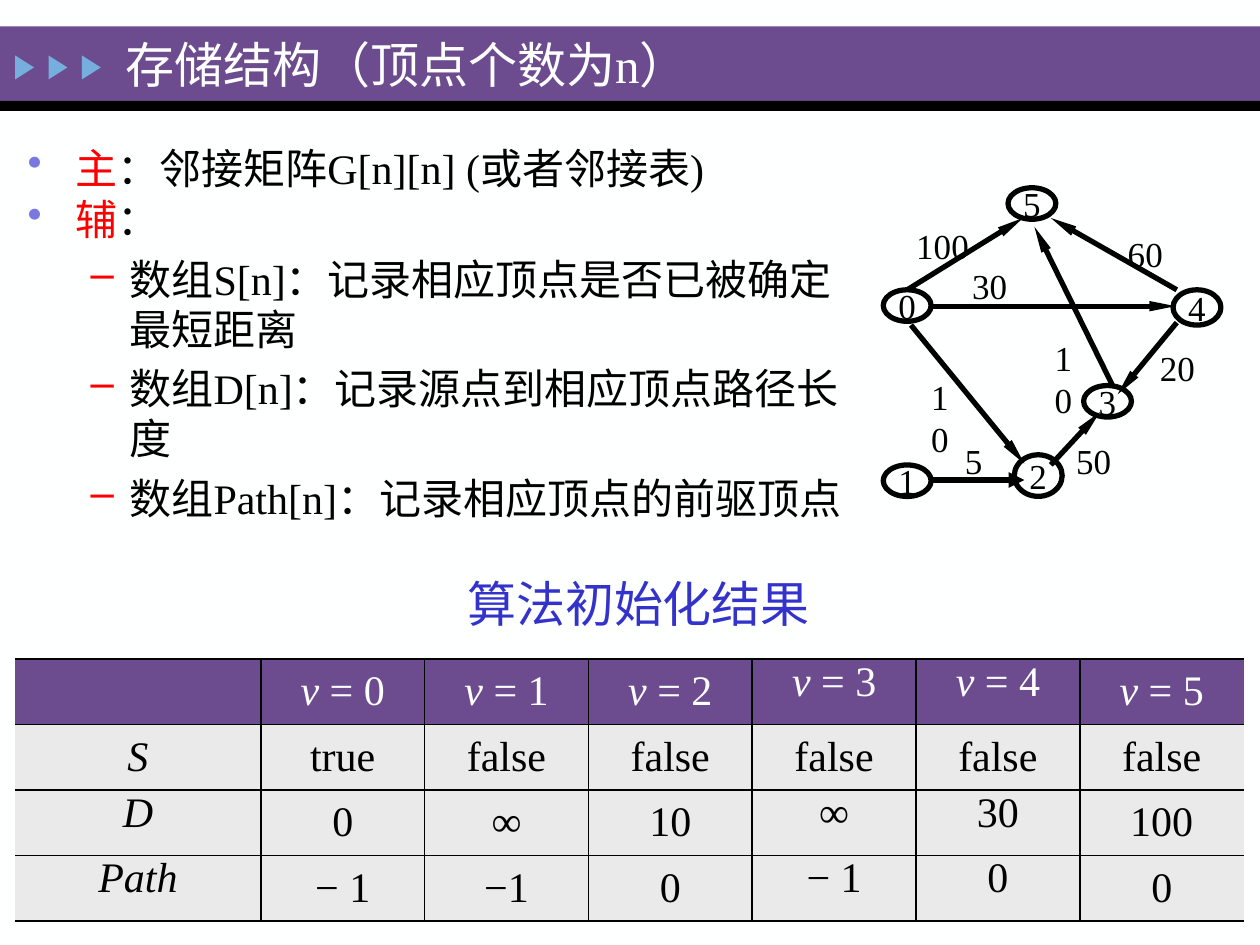
from lxml.etree import SubElement
from pptx import Presentation
from pptx.dml.color import RGBColor
from pptx.enum.shapes import MSO_CONNECTOR, MSO_SHAPE
from pptx.enum.text import MSO_ANCHOR, PP_ALIGN
from pptx.oxml.ns import qn
from pptx.util import Inches, Pt

PURPLE, BLACK, WHITE = "6C4C8F", "000000", "FEFFFF"
RED, BLUE, SKY, GRAY = "FF0000", "3333CC", "76AEDD", "EAEAEA"


def color(code):
    return RGBColor.from_string(code)


def node(parent, tag, **attrs):
    return SubElement(parent, qn(tag), attrs)


class Deck:
    face = "Times New Roman"

    def __init__(self, wide, high):
        self.file = Presentation()
        self.file.slide_width = Inches(wide)
        self.file.slide_height = Inches(high)
        self.page = self.file.slides.add_slide(self.file.slide_layouts[6])
        back = self.page.background.fill
        back.solid()
        back.fore_color.rgb = color(WHITE)

    def style(self, run, size, ink, slant=False):
        font = run.font
        font.name, font.size, font.italic = self.face, Pt(size), slant
        font.color.rgb = color(ink)

    def shape(self, kind, box, fill=None, line=None):
        item = self.page.shapes.add_shape(kind, *map(Inches, box))
        item.shadow.inherit = False
        if fill:
            item.fill.solid()
            item.fill.fore_color.rgb = color(fill)
        else:
            item.fill.background()
        if line:
            item.line.color.rgb = color(line)
            item.line.width = Pt(3)
        else:
            item.line.fill.background()
        return item

    def text(self, box, words, size, ink, align=PP_ALIGN.LEFT, anchor=MSO_ANCHOR.TOP):
        frame = self.page.shapes.add_textbox(*map(Inches, box)).text_frame
        frame.word_wrap = True
        frame.vertical_anchor = anchor
        frame.text = words
        para = frame.paragraphs[0]
        para.alignment = align
        self.style(para.runs[0], size, ink)
        return frame

    def bullets(self, box, items):
        frame = self.page.shapes.add_textbox(*map(Inches, box)).text_frame
        frame.word_wrap = True
        for i, (level, parts) in enumerate(items):
            para = frame.paragraphs[0] if i == 0 else frame.add_paragraph()
            para.level = level
            left, hang, mark, ink = [(0.38, 0.38, "•", "7878DE"), (0.81, 0.31, "–", RED)][level]
            props = para._p.get_or_add_pPr()
            props.set("marL", str(Inches(left)))
            props.set("indent", str(-Inches(hang)))
            node(node(props, "a:buClr"), "a:srgbClr", val=ink)
            node(props, "a:buChar", char=mark)
            para.line_spacing = 1.0 if level else 0.85
            if i:
                para.space_before = Pt(5)
            for words, tint in parts:
                run = para.add_run()
                run.text = words
                self.style(run, 24, tint)

    def vertex(self, name, box):
        oval = self.shape(MSO_SHAPE.OVAL, box, line=BLACK)
        frame = oval.text_frame
        frame.word_wrap = False
        frame.vertical_anchor = MSO_ANCHOR.MIDDLE
        frame.text = name
        para = frame.paragraphs[0]
        para.alignment = PP_ALIGN.CENTER
        self.style(para.runs[0], 20, BLACK)

    def arrow(self, ends, wide="sm", long="lg"):
        line = self.page.shapes.add_connector(MSO_CONNECTOR.STRAIGHT, *map(Inches, ends))
        line.line.color.rgb = color(BLACK)
        line.line.width = Pt(3)
        node(line.line._get_or_add_ln(), "a:tailEnd", type="triangle", w=wide, len=long)
        node(line._element.spPr, "a:effectLst")

    def cell(self, cell, parts, fill, ink, anchor, sides):
        cell.margin_left = cell.margin_right = Inches(0.07)
        cell.margin_top = cell.margin_bottom = 0
        cell.vertical_anchor = anchor
        props = cell._tc.get_or_add_tcPr()
        for side in ("L", "R", "T", "B"):
            edge = node(props, f"a:ln{side}", w=str(Pt(1)))
            if side in sides:
                node(node(edge, "a:solidFill"), "a:srgbClr", val=BLACK)
            else:
                node(edge, "a:noFill")
        cell.fill.solid()
        cell.fill.fore_color.rgb = color(fill)
        para = cell.text_frame.paragraphs[0]
        para.alignment = PP_ALIGN.CENTER
        for words, slant in parts:
            run = para.add_run()
            run.text = words
            self.style(run, 24, ink, slant)

    def table(self, box, rows, first, high):
        last = len(rows[0]) - 1
        grid = self.page.shapes.add_table(len(rows), last + 1, *map(Inches, box)).table
        for c, col in enumerate(grid.columns):
            col.width = Inches(first if c == 0 else (box[2] - first) / last)
        for r, row in enumerate(rows):
            grid.rows[r].height = Inches(high)
            fill, ink = (GRAY, BLACK) if r else (PURPLE, WHITE)
            for c, words in enumerate(row):
                if r == 0:
                    parts = [("v ", True), (words, False)] if words else []
                else:
                    parts = [(words, c == 0)]
                high_set = r != 1 and (c in (3 + 1, 5) or c == 0)
                anchor = MSO_ANCHOR.TOP if high_set else MSO_ANCHOR.MIDDLE
                sides = "TB" + ("L" if c else "") + ("R" if c < last else "")
                self.cell(grid.cell(r, c), parts, fill, ink, anchor, sides)


def main():
    deck = Deck(10, 7.5)

    # Title band
    deck.shape(MSO_SHAPE.RECTANGLE, (0, 0.21, 10, 0.59), PURPLE)
    deck.shape(MSO_SHAPE.RECTANGLE, (0, 0.8, 10, 0.08), BLACK)
    for i in range(3):
        mark = deck.shape(MSO_SHAPE.ISOSCELES_TRIANGLE, (0.1 + i * 0.265, 0.46, 0.19, 0.15), SKY)
        mark.rotation = 90
    deck.text((0.9, 0.23, 5.12, 0.56), "存储结构（顶点个数为n）", 28, WHITE,
              anchor=MSO_ANCHOR.MIDDLE)

    # Storage notes
    deck.bullets((0.12, 1.14, 6.71, 3.02), [
        (0, [("主", RED), ("：邻接矩阵G[n][n] (或者邻接表)", BLACK)]),
        (0, [("辅", RED), ("：", BLACK)]),
        (1, [("数组S[n]：记录相应顶点是否已被确定最短距离", BLACK)]),
        (1, [("数组D[n]：记录源点到相应顶点路径长度", BLACK)]),
        (1, [("数组Path[n]：记录相应顶点的前驱顶点", BLACK)]),
    ])

    # Graph vertices
    for name, x, y, high in [
        ("5", 8, 1.49, 0.25), ("4", 9.31, 2.3, 0.28), ("0", 7.01, 2.3, 0.25),
        ("3", 8.6, 3.06, 0.25), ("1", 7.01, 3.69, 0.25), ("2", 8.05, 3.61, 0.33),
    ]:
        deck.vertex(name, (x, y, 0.38, high))

    # Graph edges, each with its weight
    for ends, weight, box in [
        ((7.2, 2.3, 8.12, 1.73), "100", (7.17, 1.73, 0.62, 0.44)),
        ((9.34, 2.3, 8.34, 1.73), "60", (8.76, 1.8, 0.66, 0.44)),
        ((7.39, 2.43, 9.33, 2.43), "30", (7.56, 2.05, 0.59, 0.44)),
        ((7.23, 2.58, 8.13, 3.68), "10", (7.23, 2.93, 0.46, 0.77)),
        ((8.83, 3.06, 8.21, 1.8), "10", (8.21, 2.62, 0.46, 0.77)),
        ((9.34, 2.56, 8.87, 3.13), "20", (9.08, 2.7, 0.53, 0.44)),
        ((8.34, 3.69, 8.73, 3.27), "50", (8.41, 3.44, 0.54, 0.44)),
        ((7.38, 3.81, 8.13, 3.81), "5", (7.56, 3.44, 0.33, 0.44)),
    ]:
        size = ("med", "med") if weight == "5" else ("sm", "lg")
        deck.arrow(ends, *size)
        deck.text(box, weight, 20, BLACK, PP_ALIGN.CENTER)

    # Initial state table
    deck.table((0.12, 5.23, 9.75, 2.07), [
        [""] + [f"= {v}" for v in range(6)],
        ["S", "true"] + ["false"] * 5,
        ["D", "0", "∞", "10", "∞", "30", "100"],
        ["Path", "− 1", "−1", "0", "− 1", "0", "0"],
    ], 1.95, 0.52)

    # Table heading
    head = deck.text((3.33, 4.5, 3.28, 0.57), "算法初始化结果", 28, BLUE,
                     anchor=MSO_ANCHOR.MIDDLE)
    head.paragraphs[0]._p.get_or_add_pPr().set("indent", str(Inches(0.28)))

    deck.file.save("out.pptx")


if __name__ == "__main__":
    main()
